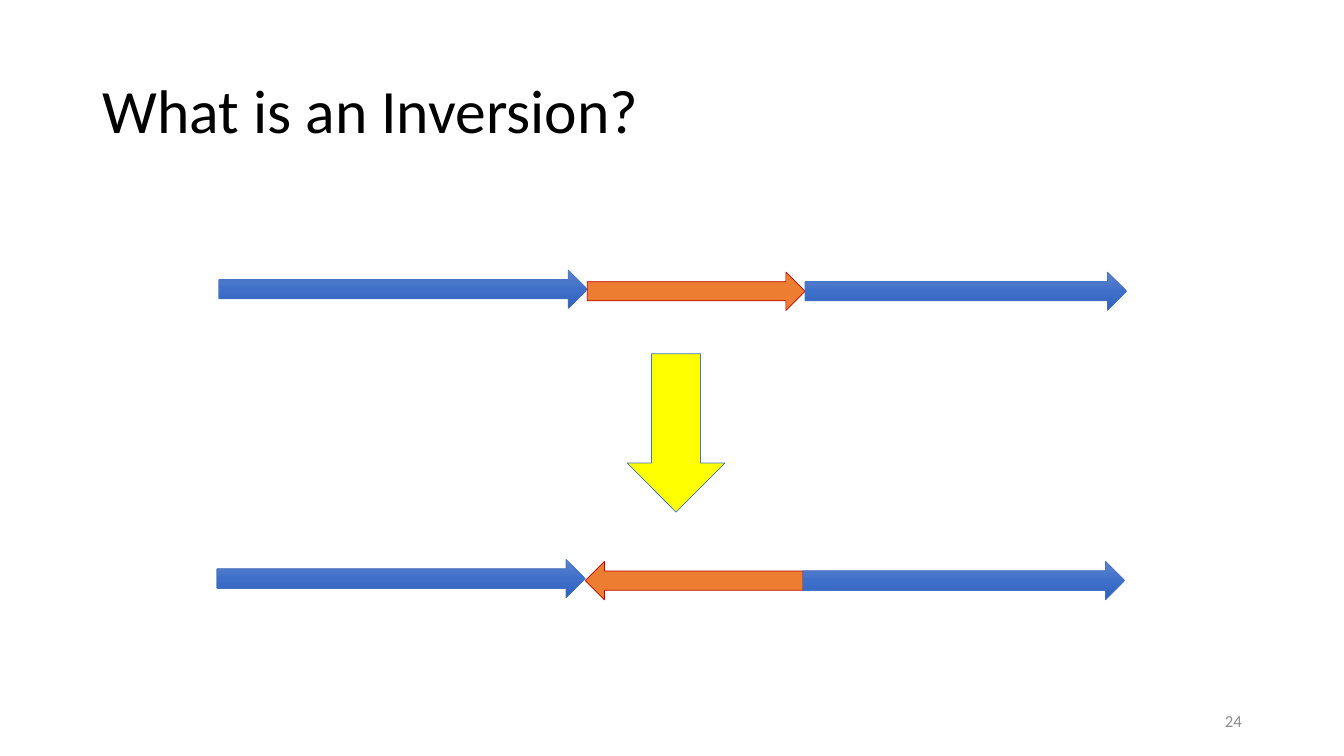
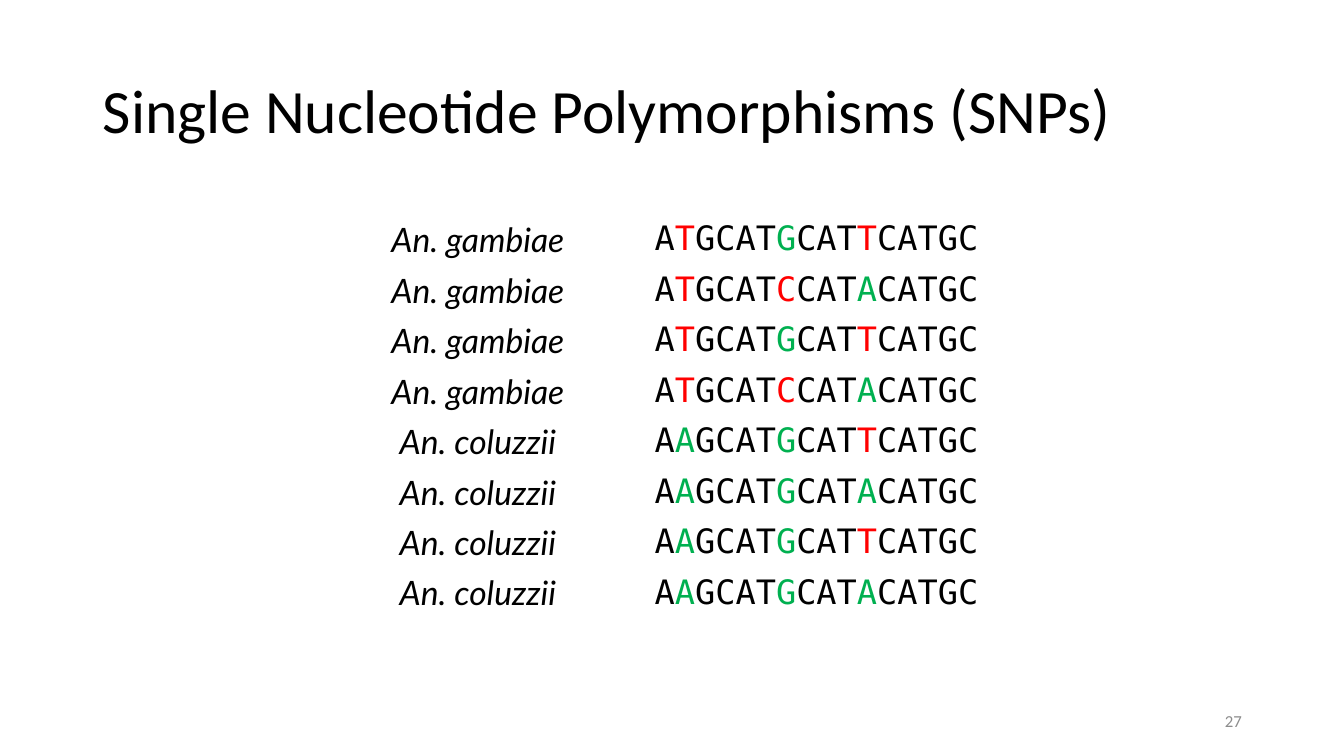
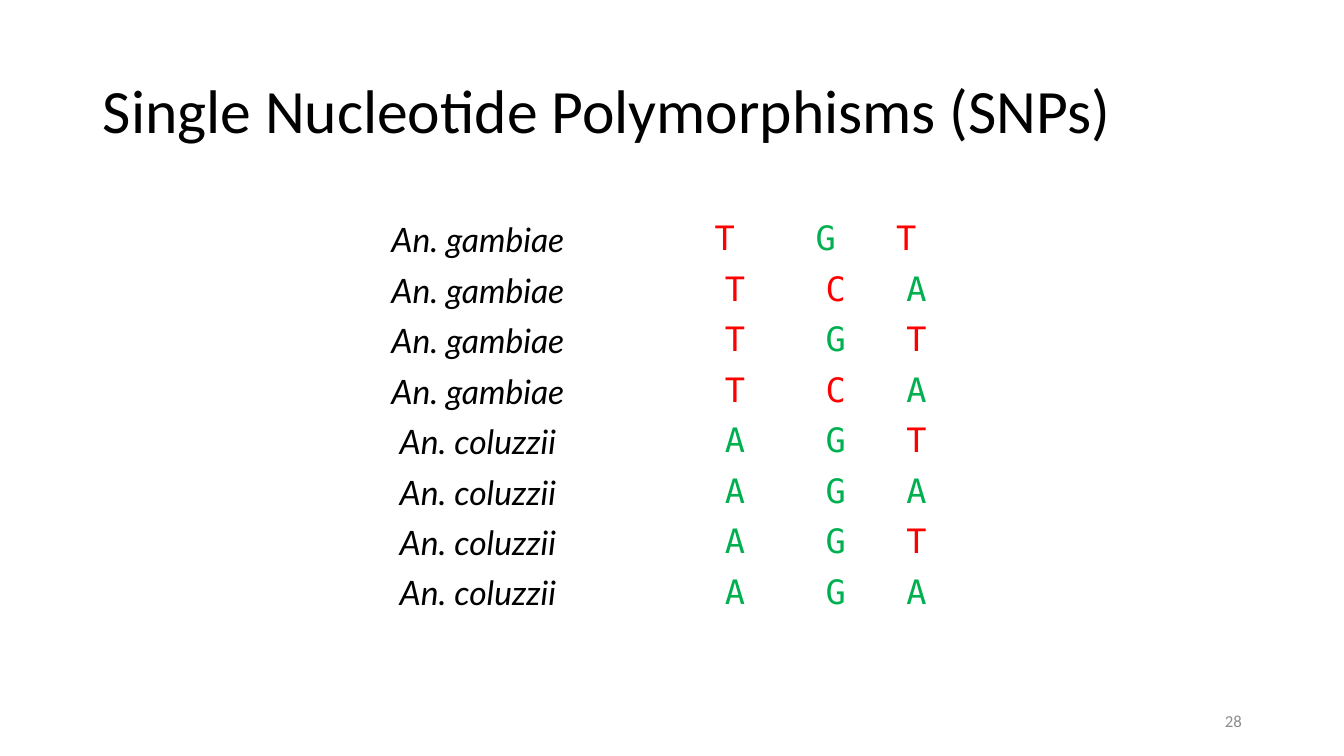
from copy import deepcopy
from dataclasses import dataclass
from typing import NamedTuple

from lxml import etree
from pptx import Presentation
from pptx.dml.color import RGBColor
from pptx.enum.shapes import MSO_SHAPE
from pptx.enum.text import MSO_ANCHOR, MSO_AUTO_SIZE, PP_ALIGN
from pptx.oxml.ns import qn
from pptx.util import Inches, Pt

RIGHT_ARROW, DOWN_ARROW = MSO_SHAPE.RIGHT_ARROW, MSO_SHAPE.DOWN_ARROW
MIDDLE, NO_AUTOFIT = MSO_ANCHOR.MIDDLE, MSO_AUTO_SIZE.NONE
LEFT, CENTER, RIGHT = PP_ALIGN.LEFT, PP_ALIGN.CENTER, PP_ALIGN.RIGHT

SLIDE_W, SLIDE_H = Inches(13.33), Inches(7.5)
TITLE_ONLY = 5
COLORS = {
    "text": "000000", "number": "8C8C8C", "blue": "4472C4",
    "orange": "ED7D31", "dark_red": "C00000", "yellow": "FFFF00",
    "red": "FF0000", "green": "00B050",
}
BLUE_GRADIENT = ((0, "6183CB"), (0.5, "3E70CA"), (1, "3062BB"))
HEAD_FONT, NAME_FONT, BASE_FONT = "Calibri", "Lato", "DejaVu Sans Mono"


class Box(NamedTuple):
    """A rectangle in percent of the slide's width and height."""
    left: float
    top: float
    width: float
    height: float

    def emu(self) -> tuple[int, int, int, int]:
        return (across(self.left), down(self.top),
                across(self.width), down(self.height))


@dataclass
class Style:
    font: str
    size: float
    color: str = "text"
    italic: bool = False


@dataclass
class Segment:
    """One arrow of a chromosome."""
    width: float
    drop: float = 0
    inverts: bool = False


class Sample(NamedTuple):
    species: str
    alleles: str


TITLE_BOX = Box(6.9, 5.33, 86.25, 19.33)
NUMBER_BOX = Box(70.65, 92.67, 22.5, 5.33)
TABLE_LEFT, TABLE_TOP, ROW_HEIGHT = 24.83, 28.4, 6.67
TABLE_COLUMNS = (21.45, 28.95)
SEGMENT_HEIGHT = 5.07
SEGMENTS = (Segment(27.42), Segment(16.2, 0.27, True), Segment(23.93, 0.27))

TITLE = Style(HEAD_FONT, 44)
NUMBER = Style(HEAD_FONT, 12, "number")
SPECIES = Style(NAME_FONT, 24, italic=True)

SNP_TITLE = "Single Nucleotide Polymorphisms (SNPs)"
SAMPLES = [Sample("An. gambiae", a) for a in ("TGT", "TCA") * 2]
SAMPLES += [Sample("An. coluzzii", a) for a in ("AGT", "AGA") * 2]
FLANKS = ("A", "GCAT", "CAT", "CATGC")
ALLELE_COLORS = {"T": "red", "C": "red", "A": "green", "G": "green"}
# Inches: the first allele from the cell's edge, later ones from the first
FIRST_ROW_INSET, ROW_INSET = 0.92, 1.02
ALLELE_TABS = (1, 1.8)


def across(percent: float) -> int:
    return round(SLIDE_W * percent / 100)


def down(percent: float) -> int:
    return round(SLIDE_H * percent / 100)


def rgb(name: str) -> RGBColor:
    return RGBColor.from_string(COLORS[name])


def add_run(p, text: str, style: Style) -> None:
    r = p.add_run()
    r.text = text
    r.font.name, r.font.size = style.font, Pt(style.size)
    r.font.bold, r.font.italic = False, style.italic
    r.font.color.rgb = rgb(style.color)


def write_line(sp, text: str, style: Style, align) -> None:
    tf = sp.text_frame
    tf.word_wrap, tf.auto_size = True, NO_AUTOFIT
    tf.vertical_anchor = MIDDLE
    p = tf.paragraphs[0]
    p.alignment = align
    add_run(p, text, style)


def add_slide(prs, title: str, number: int):
    s = prs.slides.add_slide(prs.slide_layouts[TITLE_ONLY])
    sp = s.shapes.title
    sp.left, sp.top, sp.width, sp.height = TITLE_BOX.emu()
    write_line(sp, title, TITLE, LEFT)
    sp.text_frame.paragraphs[0].line_spacing = 0.9
    write_line(s.shapes.add_textbox(*NUMBER_BOX.emu()), str(number), NUMBER, RIGHT)
    return s


def add_arrow(s, kind, box: Box, line: str, fill: str = ""):
    """Draw a block arrow, with the blue gradient if no fill is named."""
    sp = s.shapes.add_shape(kind, *box.emu())
    sp.shadow.inherit = False
    sp.line.color.rgb, sp.line.width = rgb(line), Pt(0.5)
    if fill:
        sp.fill.solid()
        sp.fill.fore_color.rgb = rgb(fill)
        return sp
    sp.fill.gradient()
    sp.fill.gradient_angle = 270
    stops = sp.element.spPr.find(".//" + qn("a:gsLst"))
    stops.append(deepcopy(stops[-1]))
    for stop, (position, color) in zip(sp.fill.gradient_stops, BLUE_GRADIENT):
        stop.position = position
        stop.color.rgb = RGBColor.from_string(color)
    return sp


def add_chromosome(s, left: float, top: float, inverted: bool) -> None:
    for segment in SEGMENTS:
        box = Box(left, top + segment.drop, segment.width, SEGMENT_HEIGHT)
        if segment.inverts:
            sp = add_arrow(s, RIGHT_ARROW, box, "dark_red", "orange")
            sp.rotation = 180 if inverted else 0
        else:
            add_arrow(s, RIGHT_ARROW, box, "blue")
        left += segment.width


def allele_style(allele: str) -> Style:
    return Style(BASE_FONT, 24, ALLELE_COLORS[allele])


def write_sequence(cell, alleles: str, row: int) -> None:
    p = cell.text_frame.paragraphs[0]
    p.alignment = CENTER
    plain = Style(BASE_FONT, 24)
    for flank, allele in zip(FLANKS, alleles):
        add_run(p, flank, plain)
        add_run(p, allele, allele_style(allele))
    add_run(p, FLANKS[-1], plain)


def write_alleles(cell, alleles: str, row: int) -> None:
    """Write the variable sites only, set apart by tab stops."""
    cell.margin_left = Inches(ROW_INSET if row else FIRST_ROW_INSET)
    p = cell.text_frame.paragraphs[0]
    p.alignment = LEFT
    tabs = etree.SubElement(p._p.get_or_add_pPr(), qn("a:tabLst"))
    for stop in ALLELE_TABS:
        etree.SubElement(tabs, qn("a:tab"), pos=str(Inches(stop)), algn="l")
    for i, allele in enumerate(alleles):
        add_run(p, "\t" + allele if i else allele, allele_style(allele))


def add_sample_table(s, write_bases) -> None:
    box = Box(TABLE_LEFT, TABLE_TOP, sum(TABLE_COLUMNS), ROW_HEIGHT * len(SAMPLES))
    table = s.shapes.add_table(len(SAMPLES), len(TABLE_COLUMNS), *box.emu()).table
    table.first_row = table.horz_banding = False
    for column, width in zip(table.columns, TABLE_COLUMNS):
        column.width = across(width)
    for row, sample in enumerate(SAMPLES):
        name, bases = table.cell(row, 0), table.cell(row, 1)
        for cell in (name, bases):
            cell.fill.background()
        p = name.text_frame.paragraphs[0]
        p.alignment = CENTER
        add_run(p, sample.species, SPECIES)
        write_bases(bases, sample.alleles, row)


def main() -> None:
    prs = Presentation()
    prs.slide_width, prs.slide_height = SLIDE_W, SLIDE_H

    s = add_slide(prs, "What is an Inversion?", 24)
    add_chromosome(s, 16.28, 35.73, inverted=False)
    add_chromosome(s, 16.13, 74, inverted=True)
    add_arrow(s, DOWN_ARROW, Box(46.66, 46.8, 7.28, 20.93), "blue", "yellow")

    for number, write_bases in ((27, write_sequence), (28, write_alleles)):
        add_sample_table(add_slide(prs, SNP_TITLE, number), write_bases)

    prs.save("out.pptx")


if __name__ == "__main__":
    main()
